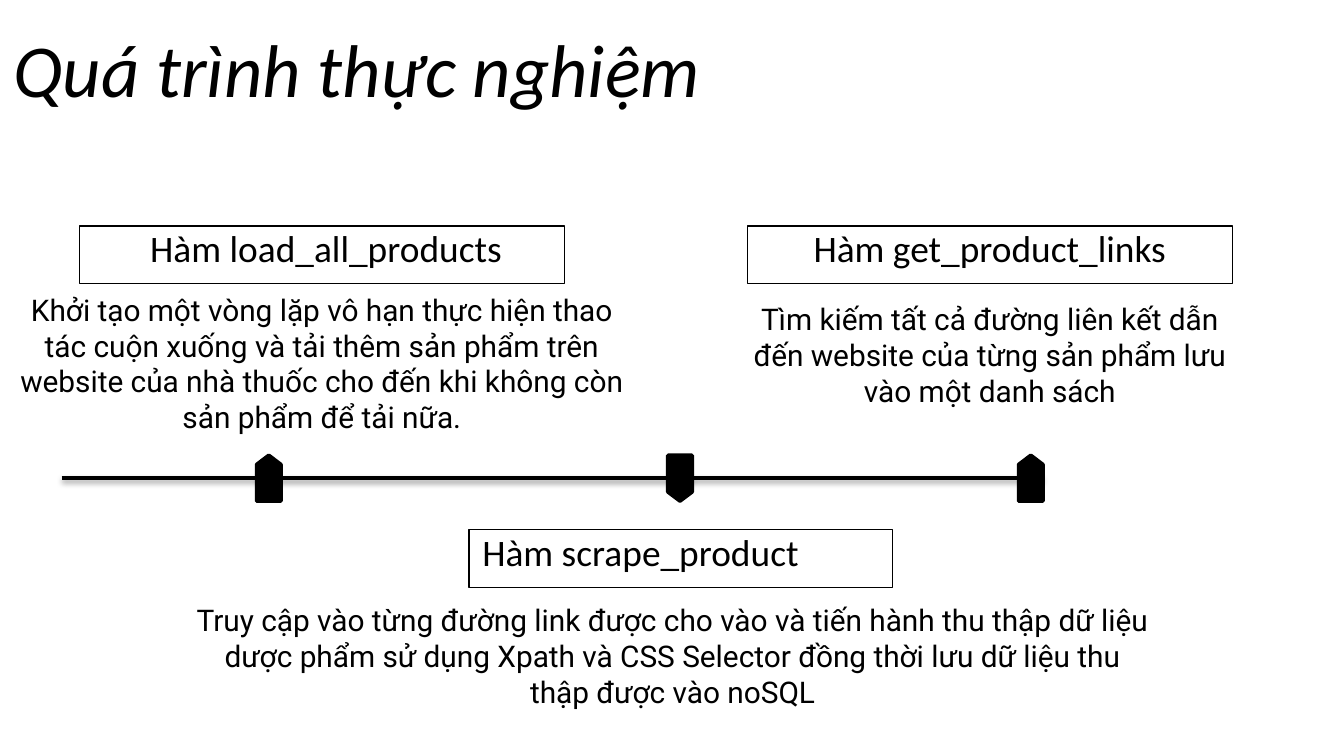
from lxml import etree
from pptx import Presentation
from pptx.dml.color import RGBColor
from pptx.enum.shapes import MSO_CONNECTOR, MSO_SHAPE
from pptx.enum.text import MSO_ANCHOR, MSO_AUTO_SIZE, PP_ALIGN
from pptx.oxml import parse_xml
from pptx.util import Pt

LEFT, CENTER = PP_ALIGN.LEFT, PP_ALIGN.CENTER
TOP, BOTTOM = MSO_ANCHOR.TOP, MSO_ANCHOR.BOTTOM
NO_AUTOFIT = MSO_AUTO_SIZE.NONE
STRAIGHT = MSO_CONNECTOR.STRAIGHT
MARKER = MSO_SHAPE.FLOWCHART_OFFPAGE_CONNECTOR

COLORS = {"ink": "000000"}
DRAWING_NS = "http://schemas.openxmlformats.org/drawingml/2006/main"
TITLE_ONLY = 5
INSET = 7.2
LABEL_HEIGHT = 31
AXIS_Y = 256.2
MARKER_WIDTH, MARKER_HEIGHT = 13, 24.5

LABELS = [
    (" Hàm load_all_products", 42.5, 121, 260, CENTER),
    ("Hàm get_product_links", 400.3, 121, 260, CENTER),
    ("Hàm scrape_product", 251.3, 283.7, 226.8, LEFT),
]
DESCRIPTIONS = [
    ("Khởi tạo một vòng lặp vô hạn thực hiện thao tác cuộn xuống và tải thêm "
     "sản phẩm trên website của nhà thuốc cho đến khi không còn sản phẩm để tải nữa.",
     0, 149, 344.9, 95.8),
    ("Tìm kiếm tất cả đường liên kết dẫn đến website của từng sản phẩm lưu "
     "vào một danh sách", 392.4, 154.1, 275.8, 45.4),
    ("Truy cập vào từng đường link được cho vào và tiến hành thu thập dữ liệu "
     "dược phẩm sử dụng Xpath và CSS Selector đồng thời lưu dữ liệu thu thập "
     "được vào noSQL", 97.9, 315.4, 524.9, 83.5),
]
AXIS_STOPS = [33.1, 137.5, 370.8, 558.7]
MARKERS = [(137.5, 180), (357.8, 0), (545.7, 180)]


def color(name):
    return RGBColor.from_string(COLORS[name])


def place(shape, left, top, width, height):
    shape.left, shape.top = Pt(left), Pt(top)
    shape.width, shape.height = Pt(width), Pt(height)


def write(shape, text, font, size, align, anchor=TOP, italic=False):
    frame = shape.text_frame
    frame.word_wrap = True
    frame.auto_size = NO_AUTOFIT
    frame.vertical_anchor = anchor
    frame.margin_left = frame.margin_right = Pt(INSET)
    frame.margin_top = frame.margin_bottom = Pt(INSET)
    para = frame.paragraphs[0]
    para.text = text
    para.alignment = align
    para.font.name = font
    para.font.size = Pt(size)
    para.font.italic = italic
    para.font.color.rgb = color("ink")


def add_title(page, text):
    title = page.shapes.title
    place(title, 0, 5, 607, 45.4)
    write(title, text, "Calibri", 40, LEFT, italic=True)


def add_text(page, left, top, width, height):
    return page.shapes.add_textbox(Pt(left), Pt(top), Pt(width), Pt(height))


def add_label(page, text, left, top, width, align):
    box = add_text(page, left, top, width, LABEL_HEIGHT)
    box.line.color.rgb = color("ink")
    box.line.width = Pt(0.75)
    write(box, text, "Calibri", 20, align, BOTTOM)


def add_description(page, text, left, top, width, height):
    box = add_text(page, left, top, width, height)
    write(box, text, "Roboto", 16, CENTER)


def add_axis_segment(page, start, end):
    line = page.shapes.add_connector(
        STRAIGHT, Pt(start), Pt(AXIS_Y), Pt(end), Pt(AXIS_Y))
    line.line.color.rgb = color("ink")
    line.line.width = Pt(2)
    effects = etree.SubElement(line._element.spPr, f"{{{DRAWING_NS}}}effectLst")
    effects.append(parse_xml(
        f'<a:outerShdw xmlns:a="{DRAWING_NS}" blurRad="{Pt(3.1)}" '
        f'dist="{Pt(1.6)}" dir="5400000" rotWithShape="0">'
        f'<a:srgbClr val="{COLORS["ink"]}"><a:alpha val="38000"/></a:srgbClr>'
        '</a:outerShdw>'))


def add_marker(page, left, rotation):
    marker = page.shapes.add_shape(
        MARKER, Pt(left), Pt(AXIS_Y - MARKER_HEIGHT / 2),
        Pt(MARKER_WIDTH), Pt(MARKER_HEIGHT))
    marker.rotation = rotation
    marker.shadow.inherit = False
    marker.fill.solid()
    marker.fill.fore_color.rgb = color("ink")
    marker.line.color.rgb = color("ink")
    marker.line.width = Pt(2)


def main():
    deck = Presentation()
    deck.slide_width, deck.slide_height = Pt(720), Pt(405)
    page = deck.slides.add_slide(deck.slide_layouts[TITLE_ONLY])
    add_title(page, "Quá trình thực nghiệm")
    for label in LABELS:
        add_label(page, *label)
    for description in DESCRIPTIONS:
        add_description(page, *description)
    for start, end in zip(AXIS_STOPS, AXIS_STOPS[1:]):
        add_axis_segment(page, start, end)
    for left, rotation in MARKERS:
        add_marker(page, left, rotation)
    deck.save("out.pptx")


if __name__ == "__main__":
    main()
